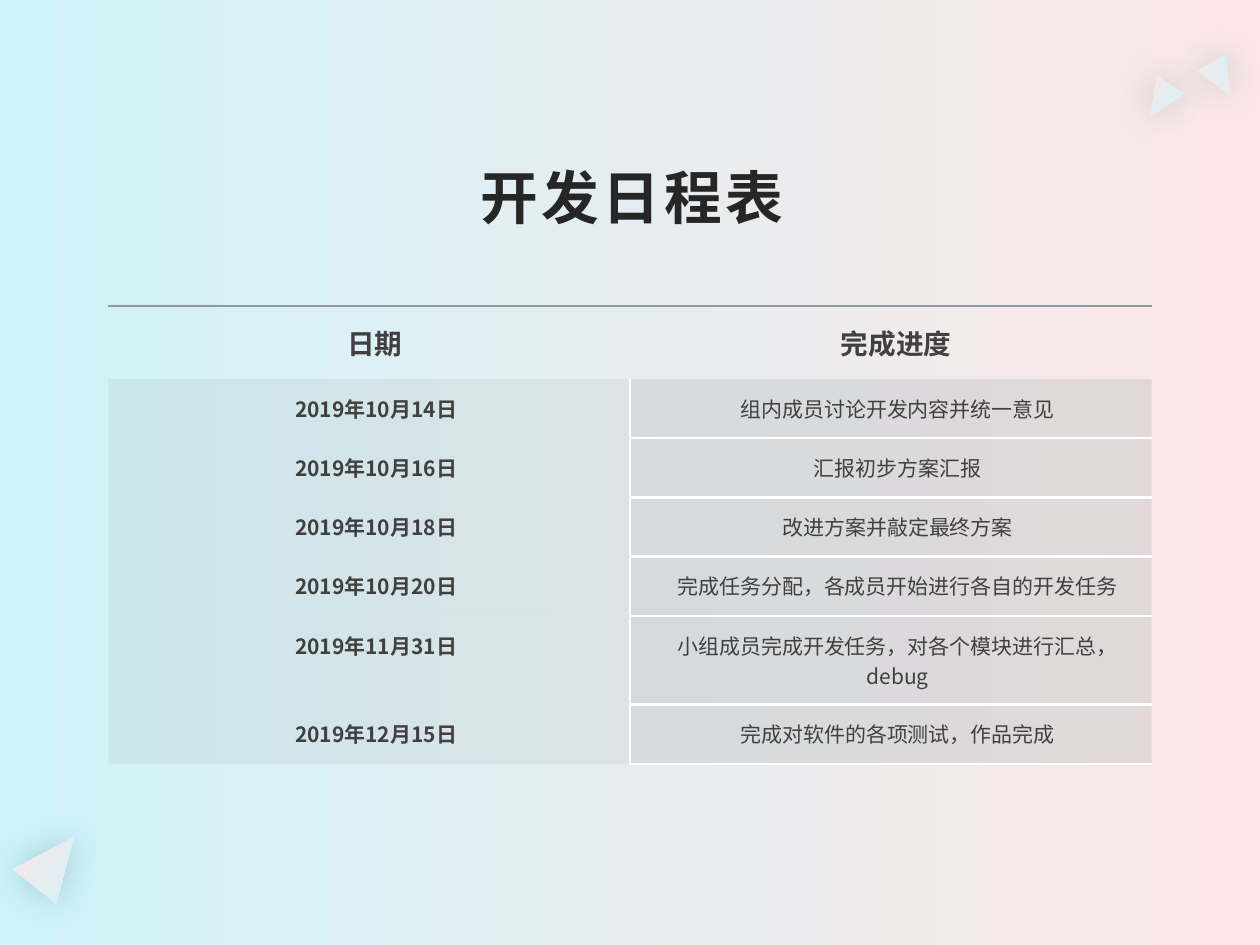
"""Build a development schedule slide with a two-column table."""
from dataclasses import dataclass

from lxml.etree import SubElement
from pptx import Presentation
from pptx.dml.color import RGBColor
from pptx.dml.fill import FillFormat
from pptx.enum.shapes import MSO_SHAPE
from pptx.enum.text import MSO_ANCHOR, PP_ALIGN
from pptx.oxml.ns import qn
from pptx.util import Inches, Pt

COLORS = {
    "sky": "CFF3FA",
    "blush": "FDE7E6",
    "shadow": "1B6382",
    "title": "262626",
    "text": "404040",
    "cell": "B4BCBE",
    "rule": "8F9A9D",
    "white": "FFFFFF",
}
FONT = "Noto Sans CJK SC"
NO_STYLE = "{2D5ABB26-0587-4C30-8999-92F81FD0307C}"


@dataclass
class Triangle:
    left: float
    top: float
    width: float
    height: float
    rotation: float
    flipped: bool


@dataclass
class Entry:
    date: str
    progress: str
    height: float = 0.47


@dataclass
class CellStyle:
    size: float
    bold: bool
    inset: float
    opacity: int
    borders: dict


TRIANGLES = [
    Triangle(0.21, 6.59, 0.44, 0.5, 38.6, False),
    Triangle(9.08, 0.65, 0.26, 0.3, 33.6, True),
    Triangle(9.56, 0.48, 0.26, 0.3, 330.2, True),
]
ENTRIES = [
    Entry("日期", "完成进度", 0.56),
    Entry("2019年10月14日", "组内成员讨论开发内容并统一意见"),
    Entry("2019年10月16日", "汇报初步方案汇报"),
    Entry("2019年10月18日", "改进方案并敲定最终方案"),
    Entry("2019年10月20日", "完成任务分配，各成员开始进行各自的开发任务"),
    Entry("2019年11月31日", "小组成员完成开发任务，对各个模块进行汇总，debug", 0.67),
    Entry("2019年12月15日", "完成对软件的各项测试，作品完成"),
]
HEADER = CellStyle(15.8, True, 0.13, 0, {"lnT": ("rule", 60)})
DATE = CellStyle(12, True, 0.11, 20, {})
PROGRESS = CellStyle(12, False, 0.11, 35, {"lnL": ("white", 100), "lnB": ("white", 100)})
PROGRESS_BELOW = CellStyle(
    12, False, 0.11, 35, {side: ("white", 100) for side in ("lnL", "lnT", "lnB")}
)


def add_color(parent, name: str, opacity: int) -> None:
    """Append a colour with the given opacity in percent."""
    color = SubElement(parent, qn("a:srgbClr"), val=COLORS[name])
    SubElement(color, qn("a:alpha"), val=str(opacity * 1000))


def fill_gradient(fill: FillFormat, names: tuple) -> None:
    """Fill from left to right with two colours."""
    fill.gradient()
    fill.gradient_angle = 0
    for stop, name in zip(fill.gradient_stops, names):
        stop.color.rgb = RGBColor.from_string(COLORS[name])


def add_triangle(page, item: Triangle) -> None:
    """Draw one softly shadowed triangle."""
    shape = page.shapes.add_shape(
        MSO_SHAPE.ISOSCELES_TRIANGLE,
        Inches(item.left), Inches(item.top), Inches(item.width), Inches(item.height),
    )
    shape.rotation = item.rotation
    shape.line.fill.background()
    fill_gradient(shape.fill, ("blush", "sky"))
    shape.shadow.inherit = False
    properties = shape.element.spPr
    if item.flipped:
        properties.find(qn("a:xfrm")).set("flipV", "1")
    glow = SubElement(
        properties.find(qn("a:effectLst")), qn("a:outerShdw"),
        blurRad=str(Pt(20)), dist="0", dir="0", algn="ctr", rotWithShape="0",
    )
    add_color(glow, "shadow", 27)


def add_text(frame, text: str, size: float, bold: bool, color: str, font: str):
    """Write one centred run and return it."""
    para = frame.paragraphs[0]
    para.alignment = PP_ALIGN.CENTER
    span = para.add_run()
    span.text = text
    span.font.size = Pt(size)
    span.font.bold = bold
    span.font.name = font
    span.font.color.rgb = RGBColor.from_string(COLORS[color])
    SubElement(span.font._element, qn("a:ea"), typeface=FONT)
    return span


def add_title(page, text: str) -> None:
    """Place and format the title."""
    title = page.shapes.title
    title.left, title.top = Inches(0.69), Inches(1.24)
    title.width, title.height = Inches(8.62), Inches(1.09)
    frame = title.text_frame
    frame.vertical_anchor = MSO_ANCHOR.TOP
    frame.margin_left, frame.margin_right = Inches(0.11), Inches(0.08)
    frame.margin_top = frame.margin_bottom = Inches(0.04)
    span = add_text(frame, text, 33, True, "title", "Arial")
    span.font._element.set("spc", "200")


def fill_cell(cell, text: str, style: CellStyle) -> None:
    """Write and format one table cell."""
    cell.margin_left = Inches(0.22)
    cell.margin_right = cell.margin_top = cell.margin_bottom = Inches(style.inset)
    cell.vertical_anchor = MSO_ANCHOR.TOP
    add_text(cell.text_frame, text, style.size, style.bold, "text", FONT)
    properties = cell._tc.get_or_add_tcPr()
    for side, (color, opacity) in style.borders.items():
        line = SubElement(properties, qn(f"a:{side}"), w=str(Pt(1.5)))
        add_color(SubElement(line, qn("a:solidFill")), color, opacity)
    if not style.opacity:
        cell.fill.background()
        return
    cell.fill.solid()
    cell.fill.fore_color.rgb = RGBColor.from_string(COLORS["cell"])
    color = properties.find(qn("a:solidFill")).find(qn("a:srgbClr"))
    SubElement(color, qn("a:alpha"), val=str(style.opacity * 1000))


def add_schedule(page, entries: list) -> None:
    """Draw the schedule table."""
    frame = page.shapes.add_table(
        len(entries), 2, Inches(0.86), Inches(2.43), Inches(8.28),
        Inches(sum(entry.height for entry in entries)),
    )
    table = frame.table
    table.horz_banding = False
    table._tbl.tblPr.find(qn("a:tableStyleId")).text = NO_STYLE
    for index, entry in enumerate(entries):
        table.rows[index].height = Inches(entry.height)
        if index == 0:
            styles = (HEADER, HEADER)
        else:
            styles = (DATE, PROGRESS if index == 1 else PROGRESS_BELOW)
        for column, text in enumerate((entry.date, entry.progress)):
            fill_cell(table.cell(index, column), text, styles[column])


def main() -> None:
    """Build and save the deck."""
    deck = Presentation()
    deck.slide_width, deck.slide_height = Inches(10), Inches(7.5)
    page = deck.slides.add_slide(deck.slide_layouts[5])
    fill_gradient(page.background.fill, ("sky", "blush"))
    for item in TRIANGLES:
        add_triangle(page, item)
    add_title(page, "开发日程表")
    add_schedule(page, ENTRIES)
    deck.save("out.pptx")


if __name__ == "__main__":
    main()
